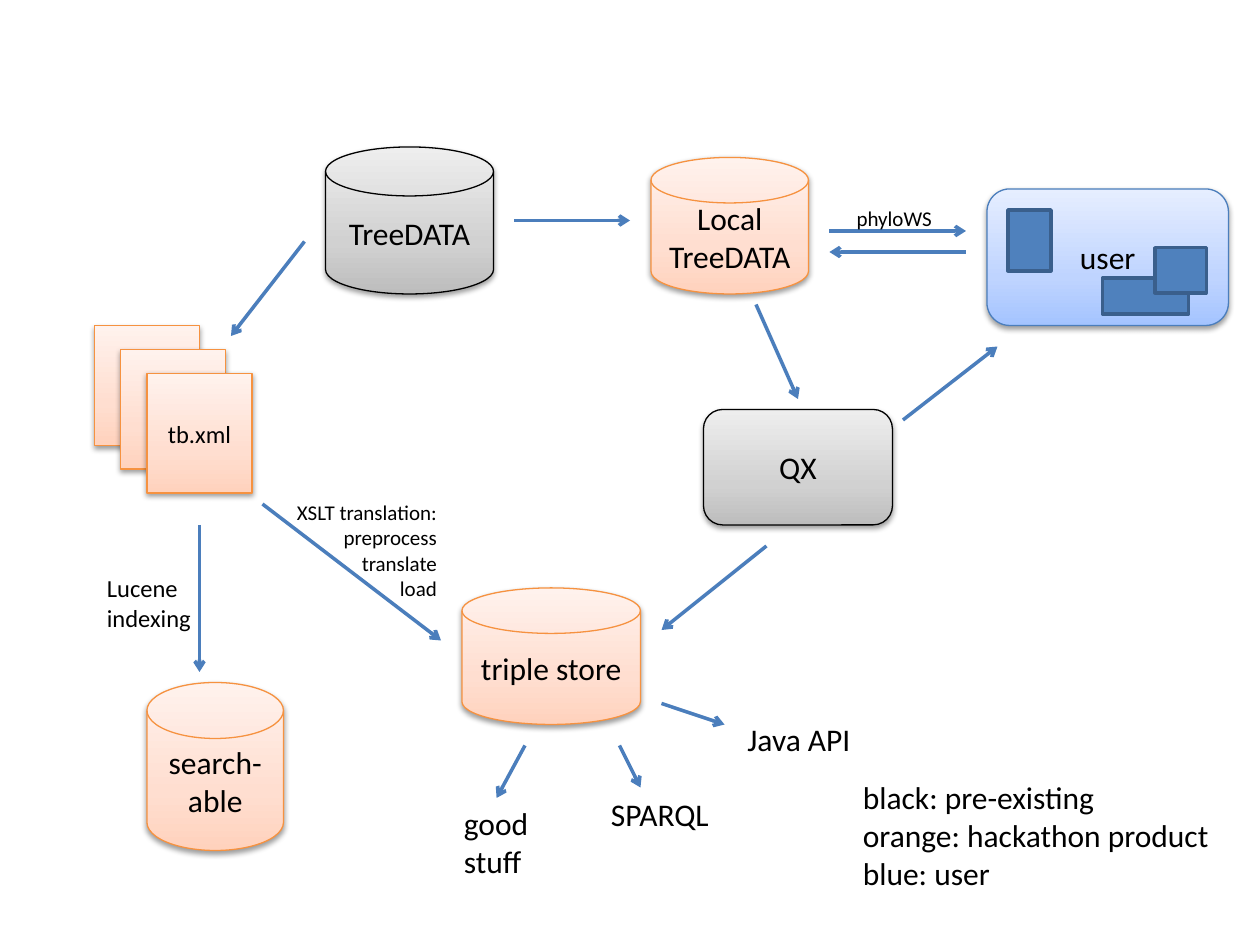
from copy import deepcopy

from lxml.etree import SubElement
from pptx import Presentation
from pptx.dml.color import RGBColor
from pptx.enum.shapes import MSO_CONNECTOR as CONN, MSO_SHAPE as SHAPE
from pptx.enum.text import MSO_ANCHOR as ANCHOR, MSO_AUTO_SIZE as AUTO, PP_ALIGN as ALIGN
from pptx.oxml.ns import qn
from pptx.util import Inches, Pt

BLACK = RGBColor(0x00, 0x00, 0x00)
ORANGE = RGBColor(0xF6, 0x92, 0x40)
BLUE = RGBColor(0x4B, 0x7E, 0xBC)
WINDOW_FILL = RGBColor(0x4F, 0x81, 0xBD)
WINDOW_LINE = RGBColor(0x3A, 0x5F, 0x8C)

# Line colour and gradient colours, bottom to top
EXISTING = (BLACK, [RGBColor(0xBD, 0xBD, 0xBD), RGBColor(0xD1, 0xD1, 0xD1),
                    RGBColor(0xEE, 0xEE, 0xEE)])
PRODUCT = (ORANGE, [RGBColor(0xFF, 0xD2, 0xBD), RGBColor(0xFF, 0xDE, 0xD0),
                    RGBColor(0xFF, 0xF2, 0xED)])
USER = (BLUE, [RGBColor(0xA4, 0xC4, 0xFF), RGBColor(0xBF, 0xD4, 0xFF),
               RGBColor(0xE6, 0xEE, 0xFF)])
STOPS = (0, 0.35, 1)


def grid(*cells):
    """Turn grid cells, twelve to the inch, into lengths."""
    return [Inches(c / 12) for c in cells]


def write(tf, text, size=18, align=ALIGN.LEFT, color=BLACK, font="Calibri"):
    """Fill a text frame; \\n starts a paragraph and \\v breaks a line."""
    tf.text = text
    for p in tf.paragraphs:
        p.alignment = align
        for r in p.runs:
            r.font.name, r.font.size = font, Pt(size)
            r.font.color.rgb = color


class Diagram:
    def __init__(self, slide):
        self.slide = slide
        self.shapes = slide.shapes

    def group(self):
        """Put the elements that follow into a new group."""
        self.shapes = self.slide.shapes.add_group_shape().shapes

    def ungroup(self):
        self.shapes = self.slide.shapes

    def node(self, kind, cells, style, text="", size=18):
        """Gradient shape with a soft shadow below it."""
        line, colors = style
        sp = self.shapes.add_shape(kind, *grid(*cells))
        sp.line.color.rgb, sp.line.width = line, Pt(0.75)
        sp.fill.gradient()
        sp.fill.gradient_angle = 90
        stops = sp._element.spPr.find(qn("a:gradFill")).find(qn("a:gsLst"))
        stops.insert(1, deepcopy(stops[0]))
        for stop, pos, color in zip(sp.fill.gradient_stops, STOPS, colors):
            stop.position, stop.color.rgb = pos, color
        sp.shadow.inherit = False
        effects = sp._element.spPr.find(qn("a:effectLst"))
        shadow = SubElement(effects, qn("a:outerShdw"), blurRad="40000",
                            dist="20000", dir="5400000", rotWithShape="0")
        black = SubElement(shadow, qn("a:srgbClr"), val=str(BLACK))
        SubElement(black, qn("a:alpha"), val="38000")
        if text:
            sp.text_frame.vertical_anchor = ANCHOR.MIDDLE
            write(sp.text_frame, text, size=size, align=ALIGN.CENTER)

    def window(self, *cells):
        sp = self.shapes.add_shape(SHAPE.RECTANGLE, *grid(*cells))
        sp.shadow.inherit = False
        sp.fill.solid()
        sp.fill.fore_color.rgb = WINDOW_FILL
        sp.line.color.rgb, sp.line.width = WINDOW_LINE, Pt(2)

    def arrow(self, *cells):
        cxn = self.shapes.add_connector(CONN.STRAIGHT, *grid(*cells))
        cxn.line.color.rgb, cxn.line.width = BLUE, Pt(2)
        SubElement(cxn.line._get_or_add_ln(), qn("a:tailEnd"), type="arrow")
        SubElement(cxn._element.spPr, qn("a:effectLst"))

    def label(self, cells, text, **fmt):
        tf = self.shapes.add_textbox(*grid(*cells)).text_frame
        tf.word_wrap = False
        tf.auto_size = AUTO.SHAPE_TO_FIT_TEXT
        write(tf, text, **fmt)


def main():
    prs = Presentation()
    prs.slide_width, prs.slide_height = Inches(10), Inches(7.5)
    d = Diagram(prs.slides.add_slide(prs.slide_layouts[6]))

    # Data stores
    disk = SHAPE.FLOWCHART_MAGNETIC_DISK
    d.node(disk, (31, 14, 16, 14), EXISTING, "TreeDATA")
    d.node(disk, (62, 15, 15, 13), PRODUCT, "Local\vTreeDATA")
    d.node(disk, (14, 65, 13, 16), PRODUCT, "search-\nable")
    d.node(disk, (44, 56, 17, 13), PRODUCT, "triple store")
    d.node(SHAPE.ROUNDED_RECTANGLE, (67, 39, 18, 11), EXISTING, "QX")

    # Stack of XML files
    d.group()
    for i, text in enumerate(("", "", "tb.xml")):
        d.node(SHAPE.RECTANGLE, (9 + 2.5 * i, 31 + 2.28 * i, 10, 11.4),
               PRODUCT, text, size=14)

    # User with windows
    d.group()
    d.node(SHAPE.ROUNDED_RECTANGLE, (94, 18, 23, 13), USER, "user")
    d.window(96, 20, 4.1, 5.8)
    d.window(105, 26.5, 8.2, 3.4)
    d.window(110, 23.6, 4.9, 4.3)

    # Request and response
    d.group()
    d.arrow(79, 22, 92, 22)
    d.arrow(92, 24, 79, 24)
    d.ungroup()

    # Data flow
    for ends in ((72, 29, 76, 38), (73, 52, 63, 60), (25, 48, 42, 61),
                 (49, 21, 60, 21), (29, 23, 22, 32), (86, 40, 95, 33),
                 (50, 71, 47.3, 76), (59, 71, 61, 75), (63, 67, 69, 69),
                 (19, 50, 19, 64)):
        d.arrow(*ends)

    # Labels on the arrows
    d.label((80.4, 19, 9.6, 3.6), "phyloWS", size=12)
    d.label((27, 47, 15.8, 10.9),
            "XSLT translation:\npreprocess\ntranslate\nload",
            size=12, align=ALIGN.RIGHT)
    d.label((9, 54, 10.6, 6.8), "Lucene\vindexing", size=14)

    # Outputs of the triple store
    d.label((43, 76, 8.6, 8.5), "good\vstuff")
    d.label((57, 75.1, 11.9, 4.8), "SPARQL")
    d.label((70, 68, 12.4, 4.8), "Java API")

    # Colour key
    d.label((81, 73.5, 35.8, 12.1),
            "black: pre-existing\norange: hackathon product\nblue: user")

    prs.save("out.pptx")


if __name__ == "__main__":
    main()
